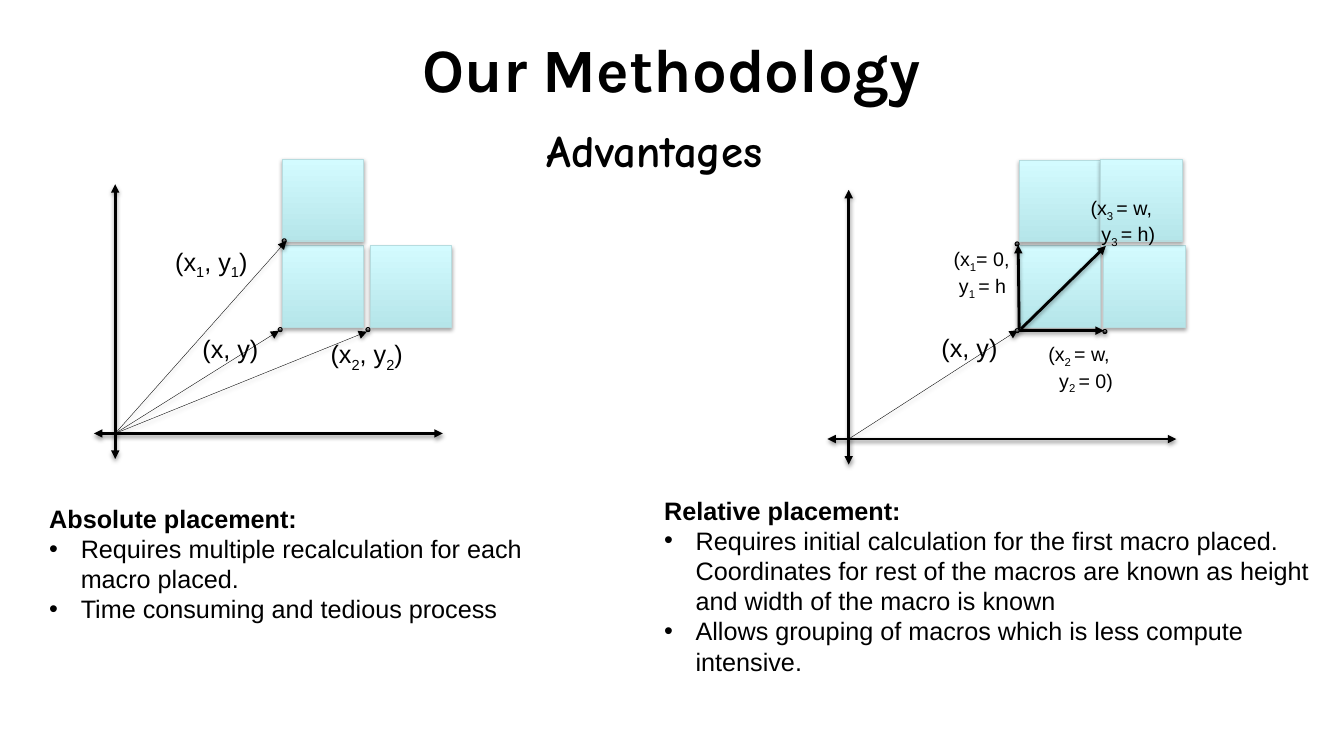
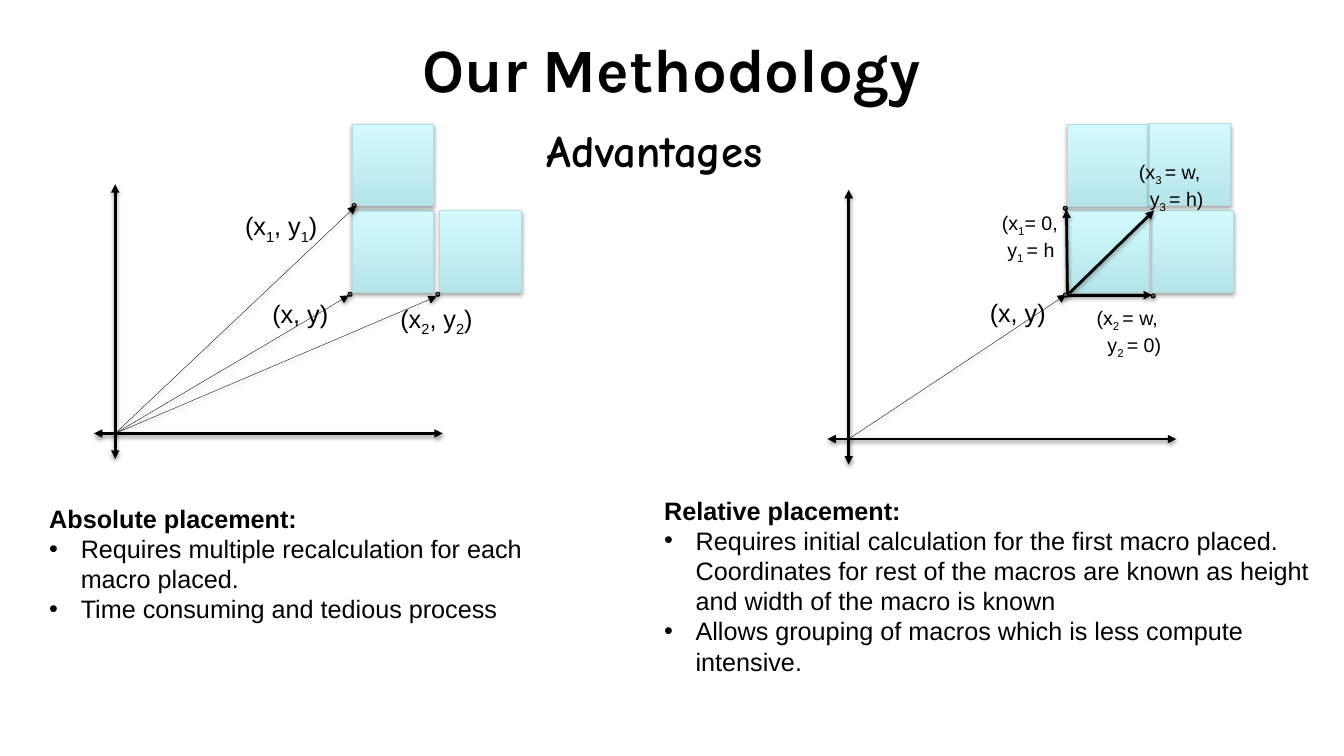
from dataclasses import dataclass
from typing import Any

from lxml.etree import SubElement
from pptx import Presentation
from pptx.dml.color import RGBColor
from pptx.enum.shapes import MSO_CONNECTOR, MSO_SHAPE
from pptx.enum.text import MSO_ANCHOR, PP_ALIGN
from pptx.oxml.ns import qn
from pptx.util import Pt

BLACK = "000000"
EDGE = "B6DCDF"
AQUA = ("B5E5E9", "D3FBFF")
INK = (BLACK, "BDBDBD")
SIDE = 58.4
DOT = 2.9
Point = tuple[float, float]


@dataclass(frozen=True)
class Macro:
    x: float
    y: float


@dataclass(frozen=True)
class Dot:
    x: float
    y: float


@dataclass(frozen=True)
class Label:
    x: float
    y: float
    width: float
    lines: tuple[str, ...]
    size: int = 18
    indent: float = 0


@dataclass(frozen=True)
class Arrow:
    start: Point
    end: Point
    width: float = 2
    double: bool = False


@dataclass(frozen=True)
class Note:
    x: float
    y: float
    width: float
    height: float
    head: str
    points: tuple[str, ...]


LEFT = (
    Macro(0, -58.3),
    Label(-64.1, 0.7, 75.6, ("(x, y)",)),
    Dot(-2.9, 0),
    Macro(0, -120.2),
    Macro(62.8, -58.3),
    Dot(59.8, 0),
    Dot(0, -63.4),
    Label(27.4, 4.3, 87.8, ("(x_2_, y_2_)",)),
    Label(-83.5, -61.9, 83.5, ("(x_1_, y_1_)",)),
)
RIGHT = (
    Dot(59.8, 1),
    Dot(-2.9, -61.6),
    Macro(0, -58.7),
    Label(-62.6, -0.4, 65.5, ("(x, y)",)),
    Macro(0, -119.9),
    Macro(60.5, -58.7),
    Label(13.7, 6.1, 105, ("(x_2 _= w,", "y_2 _= 0)"), 14, 7.8),
    Label(-54, -61.6, 74, ("(x_1_= 0,", "y_1 _= h"), 14, 3.9),
    Arrow((0, 1.8), (60.5, 1.8)),
    Arrow((0, 1.8), (-0.7, -59.4)),
    Macro(58.3, -120.6),
    Arrow((1.4, 0.4), (61.9, -58.7)),
    Label(43.9, -98.3, 109.4, ("(x_3 _= w,", "y_3 _= h)"), 14, 7.8),
    Dot(-2.9, 0.4),
)
LEFT_ZERO = (82.3, 309.6)
RIGHT_ZERO = (606.2, 313.6)
LEFT_TIPS = ((3, -61.9), (-2.2, 2.2), (60.5, 2.9))
RIGHT_TIPS = ((-1, 1.5),)
NOTES = (
    Note(28.1, 355.7, 368.6, 94.3, "Absolute placement:", (
        "Requires multiple recalculation for each macro placed.",
        "Time consuming and tedious process",
    )),
    Note(467.3, 349.9, 487.4, 159.8, "Relative placement:", (
        "Requires initial calculation for the first macro placed. Coordinates for rest "
        "of the macros are known as height and width of the macro is known",
        "Allows grouping of macros which is less compute intensive.",
    )),
)
PLACES = (
    ((201.6, 234), (728, 234.4)),
    ((251.5, 208.8), (762.5, 209)),
)


def paint(target: Any, color: str) -> None:
    target.rgb = RGBColor.from_string(color)


def style(run: Any, size: int, font: str = "Arial", bold: bool = False) -> None:
    run.font.name = font
    run.font.size = Pt(size)
    run.font.bold = bold
    paint(run.font.color, BLACK)


def shade(shape: Any, alpha: int, drop: float) -> None:
    props = shape.element.spPr
    for old in props.findall(qn("a:effectLst")):
        props.remove(old)
    effect = SubElement(props, qn("a:effectLst"))
    shadow = SubElement(effect, qn("a:outerShdw"), blurRad=str(Pt(3.1)),
                        dist=str(Pt(drop)), dir="5400000", rotWithShape="0")
    color = SubElement(shadow, qn("a:srgbClr"), val=BLACK)
    SubElement(color, qn("a:alpha"), val=str(alpha * 1000))


def add_frame(shapes: Any, x: float, y: float, width: float, height: float) -> Any:
    frame = shapes.add_textbox(Pt(x), Pt(y), Pt(width), Pt(height)).text_frame
    frame.word_wrap = True
    return frame


def add_block(shapes: Any, kind: MSO_SHAPE, place: Point, size: float,
              tones: tuple[str, str], edge: str) -> None:
    block = shapes.add_shape(kind, Pt(place[0]), Pt(place[1]), Pt(size), Pt(size))
    block.fill.gradient()
    block.fill.gradient_angle = 90
    for stop, tone in zip(block.fill.gradient_stops, tones):
        paint(stop.color, tone)
    block.line.fill.solid()
    paint(block.line.color, edge)
    block.line.width = Pt(0.75)
    shade(block, 35, 1.8)


def add_arrow(shapes: Any, arrow: Arrow, base: Point = (0, 0)) -> None:
    ends = [Pt(base[axis] + point[axis])
            for point in (arrow.start, arrow.end) for axis in (0, 1)]
    line = shapes.add_connector(MSO_CONNECTOR.STRAIGHT, *ends)
    paint(line.line.color, BLACK)
    line.line.width = Pt(arrow.width)
    stroke = line.element.spPr.find(qn("a:ln"))
    if arrow.double:
        SubElement(stroke, qn("a:headEnd"), type="triangle")
    SubElement(stroke, qn("a:tailEnd"), type="triangle")
    shade(line, 38, 1.6)


def add_label(shapes: Any, label: Label, base: Point) -> None:
    height = 7.2 + 1.2 * label.size * len(label.lines)
    frame = add_frame(shapes, base[0] + label.x, base[1] + label.y, label.width, height)
    for row, line in enumerate(label.lines):
        para = frame.add_paragraph() if row else frame.paragraphs[0]
        if row:
            para._p.get_or_add_pPr().set("marL", str(Pt(label.indent)))
        for index, part in enumerate(line.split("_")):
            run = para.add_run()
            run.text = part
            style(run, label.size)
            if index % 2:
                run.font._element.set("baseline", "-25000")


def add_group(slide: Any, parts: tuple, base: Point) -> None:
    shapes = slide.shapes.add_group_shape().shapes
    for part in parts:
        if isinstance(part, Label):
            add_label(shapes, part, base)
        elif isinstance(part, Arrow):
            add_arrow(shapes, part, base)
        else:
            place = (base[0] + part.x, base[1] + part.y)
            if isinstance(part, Macro):
                add_block(shapes, MSO_SHAPE.RECTANGLE, place, SIDE, AQUA, EDGE)
            else:
                add_block(shapes, MSO_SHAPE.OVAL, place, DOT, INK, BLACK)


def add_axes(slide: Any, zero: Point) -> None:
    x, y = zero
    add_arrow(slide.shapes, Arrow((x - 15.2, y), (x + 234, y), double=True))
    add_arrow(slide.shapes, Arrow((x, y - 178), (x, y + 18.2), double=True))


def add_rays(slide: Any, zero: Point, base: Point, tips: tuple[Point, ...]) -> None:
    for x, y in tips:
        add_arrow(slide.shapes, Arrow(zero, (base[0] + x, base[1] + y), 0.25))


def add_note(slide: Any, note: Note) -> None:
    frame = add_frame(slide.shapes, note.x, note.y, note.width, note.height)
    frame.text = "\n".join((note.head, *note.points))
    for index, para in enumerate(frame.paragraphs):
        if index:
            props = para._p.get_or_add_pPr()
            props.set("marL", str(Pt(22.5)))
            props.set("indent", str(Pt(-22.5)))
            SubElement(props, qn("a:buFont"), typeface="Arial")
            SubElement(props, qn("a:buChar"), char="•")
        style(para.runs[0], 18, bold=index == 0)


def add_head(slide: Any, text: str, box: tuple[float, ...], size: int, font: str) -> Any:
    frame = add_frame(slide.shapes, *box)
    frame.text = text
    para = frame.paragraphs[0]
    para.alignment = PP_ALIGN.CENTER
    style(para.runs[0], size, font, True)
    return frame


def build(slide: Any, left: Point, right: Point) -> None:
    title = add_head(slide, "Our Methodology", (48, 3.6, 864, 90), 44, "Karla")
    title.vertical_anchor = MSO_ANCHOR.MIDDLE
    add_head(slide, "Advantages", (239.8, 84.2, 455.8, 46), 32, "Comic Neue")
    add_axes(slide, LEFT_ZERO)
    add_group(slide, LEFT, left)
    add_rays(slide, LEFT_ZERO, left, LEFT_TIPS)
    for note in NOTES:
        add_note(slide, note)
    add_axes(slide, RIGHT_ZERO)
    add_rays(slide, RIGHT_ZERO, right, RIGHT_TIPS)
    add_group(slide, RIGHT, right)


def main() -> None:
    deck = Presentation()
    deck.slide_width = Pt(960)
    deck.slide_height = Pt(540)
    for left, right in PLACES:
        build(deck.slides.add_slide(deck.slide_layouts[6]), left, right)
    deck.save("out.pptx")


if __name__ == "__main__":
    main()
